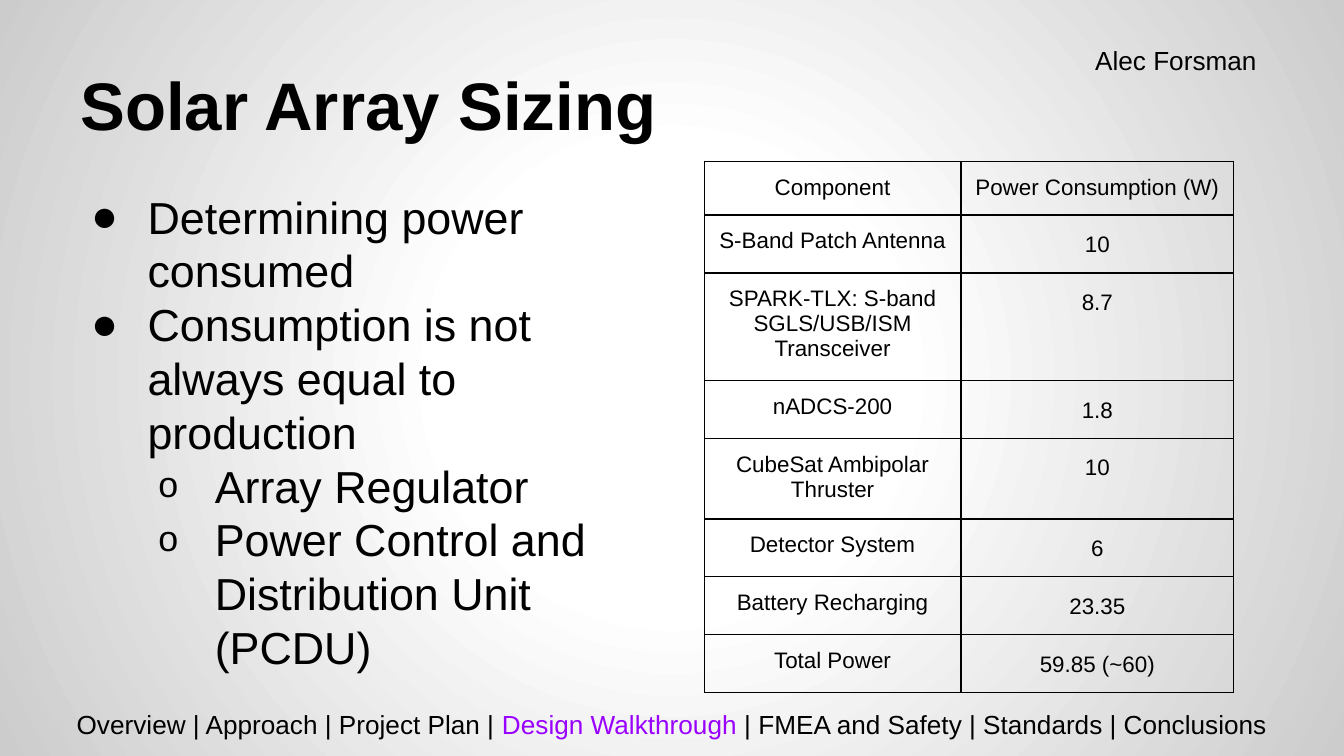
from dataclasses import dataclass

from lxml.etree import SubElement
from pptx import Presentation
from pptx.dml.color import RGBColor
from pptx.enum.text import MSO_ANCHOR as Anchor, PP_ALIGN as Align
from pptx.oxml import parse_xml
from pptx.oxml.ns import nsdecls, qn
from pptx.util import Inches, Pt


@dataclass(frozen=True)
class Theme:
    font: str = "Arial"
    ink: str = "000000"
    accent: str = "9900FF"
    centre: str = "FFFFFF"
    edge: str = "CCCCCC"
    title: int = 36
    body: int = 24
    small: int = 14
    cell: int = 12
    border: float = 0.75
    inset: float = 0.1


def add_text(paragraph, text, *, theme, size, color=None, bold=False):
    run = paragraph.add_run()
    run.text = text
    font = run.font
    font.name, font.size, font.bold = theme.font, Pt(size), bold
    font.color.rgb = RGBColor.from_string(color or theme.ink)


class SlideBuilder:
    def __init__(self, slide, theme):
        self.slide = slide
        self.theme = theme

    def background(self):
        stops = [(0, self.theme.centre), (30, self.theme.centre), (100, self.theme.edge)]
        stop_xml = "".join(
            f'<a:gs pos="{position * 1000}"><a:srgbClr val="{color}"/></a:gs>'
            for position, color in stops)
        gradient = parse_xml(
            f'<a:gradFill {nsdecls("a")}><a:gsLst>{stop_xml}</a:gsLst><a:path path="circle">'
            '<a:fillToRect l="50000" t="50000" r="50000" b="50000"/></a:path></a:gradFill>')
        self.slide.background.fill.solid()
        solid = next(self.slide.element.iter(qn("a:solidFill")))
        solid.getparent().replace(solid, gradient)

    def set_margins(self, target):
        for side in ("left", "top", "right", "bottom"):
            setattr(target, f"margin_{side}", Inches(self.theme.inset))

    def text_box(self, left, top, width, height, anchor=Anchor.TOP):
        box = self.slide.shapes.add_textbox(*map(Inches, (left, top, width, height)))
        frame = box.text_frame
        frame.word_wrap = True
        frame.vertical_anchor = anchor
        self.set_margins(frame)
        return frame

    def label(self, area, runs, size, align=Align.LEFT, anchor=Anchor.TOP, bold=False):
        paragraph = self.text_box(*area, anchor=anchor).paragraphs[0]
        paragraph.alignment = align
        for text, color in runs:
            add_text(paragraph, text, theme=self.theme, size=size, color=color, bold=bold)

    def bullets(self, area, items):
        frame = self.text_box(*area)
        for index, (level, text) in enumerate(items):
            paragraph = frame.paragraphs[0] if index == 0 else frame.add_paragraph()
            paragraph.level = level
            properties = paragraph._p.get_or_add_pPr()
            properties.set("marL", str(Inches(0.5 * (level + 1))))
            properties.set("indent", str(Inches(-0.42)))
            bullet_color = SubElement(properties, qn("a:buClr"))
            SubElement(bullet_color, qn("a:srgbClr"), val=self.theme.ink)
            SubElement(properties, qn("a:buSzPct"), val="80000" if level else "100000")
            SubElement(properties, qn("a:buFont"), typeface=self.theme.font)
            SubElement(properties, qn("a:buChar"), char="o" if level else "●")
            add_text(paragraph, text, theme=self.theme, size=self.theme.body)

    def cell_borders(self, cell):
        properties = cell._tc.get_or_add_tcPr()
        for index, side in enumerate("LRTB"):
            properties.insert(index, parse_xml(
                f'<a:ln{side} {nsdecls("a")} w="{Pt(self.theme.border)}"><a:solidFill>'
                f'<a:srgbClr val="{self.theme.ink}"/></a:solidFill></a:ln{side}>'))

    def table(self, area, widths, heights, rows):
        frame = self.slide.shapes.add_table(len(rows), len(widths), *map(Inches, area))
        table = frame.table
        table.first_row = table.horz_banding = False
        for column, width in zip(table.columns, widths):
            column.width = Inches(width)
        for row_index, (row, height) in enumerate(zip(rows, heights)):
            table.rows[row_index].height = Inches(height)
            for column_index, text in enumerate(row):
                cell = table.cell(row_index, column_index)
                cell.fill.background()
                self.cell_borders(cell)
                self.set_margins(cell)
                paragraph = cell.text_frame.paragraphs[0]
                paragraph.alignment = Align.CENTER
                if row_index and column_index:
                    paragraph.line_spacing = 1.15
                add_text(paragraph, text, theme=self.theme, size=self.theme.cell)
        # Changing rows and columns resizes the frame
        frame.width, frame.height = map(Inches, area[2:])


def main():
    presentation = Presentation()
    presentation.slide_width = Inches(10)
    presentation.slide_height = Inches(10) * 9 // 16
    theme = Theme()
    builder = SlideBuilder(
        presentation.slides.add_slide(presentation.slide_layouts[6]), theme)
    builder.background()

    # Title and main points
    builder.label((0.5, 0.23, 9, 0.94), [("Solar Array Sizing", theme.ink)],
                  theme.title, anchor=Anchor.BOTTOM, bold=True)
    builder.bullets((0.5, 1.31, 4.63, 4.07), [
        (0, "Determining power consumed"),
        (0, "Consumption is not always equal to production"),
        (1, "Array Regulator"),
        (1, "Power Control and Distribution Unit (PCDU)"),
    ])

    # Section navigation
    builder.label((0, 5.17, 10, 0.45), [
        ("Overview | Approach | Project Plan | ", theme.ink),
        ("Design Walkthrough", theme.accent),
        (" | FMEA and Safety | Standards | Conclusions", theme.ink),
    ], theme.small, align=Align.CENTER)

    # Power budget: rows grow to fit their text
    builder.table(
        (5.24, 1.2, 3.28, 3.28), [1.91, 2.03],
        [0.32, 0.32, 0.55, 0.23, 0.32, 0.23, 0.23, 0.23],
        [
            ("Component", "Power Consumption (W)"),
            ("S-Band Patch Antenna", "10"),
            ("SPARK-TLX: S-band SGLS/USB/ISM Transceiver", "8.7"),
            ("nADCS-200", "1.8"),
            ("CubeSat Ambipolar Thruster", "10"),
            ("Detector System", "6"),
            ("Battery Recharging", "23.35"),
            ("Total Power", "59.85 (~60)"),
        ])

    # Presenter
    builder.label((8.05, 0.23, 1.45, 0.45), [("Alec Forsman", theme.ink)], theme.small)

    presentation.save("out.pptx")


if __name__ == "__main__":
    main()
